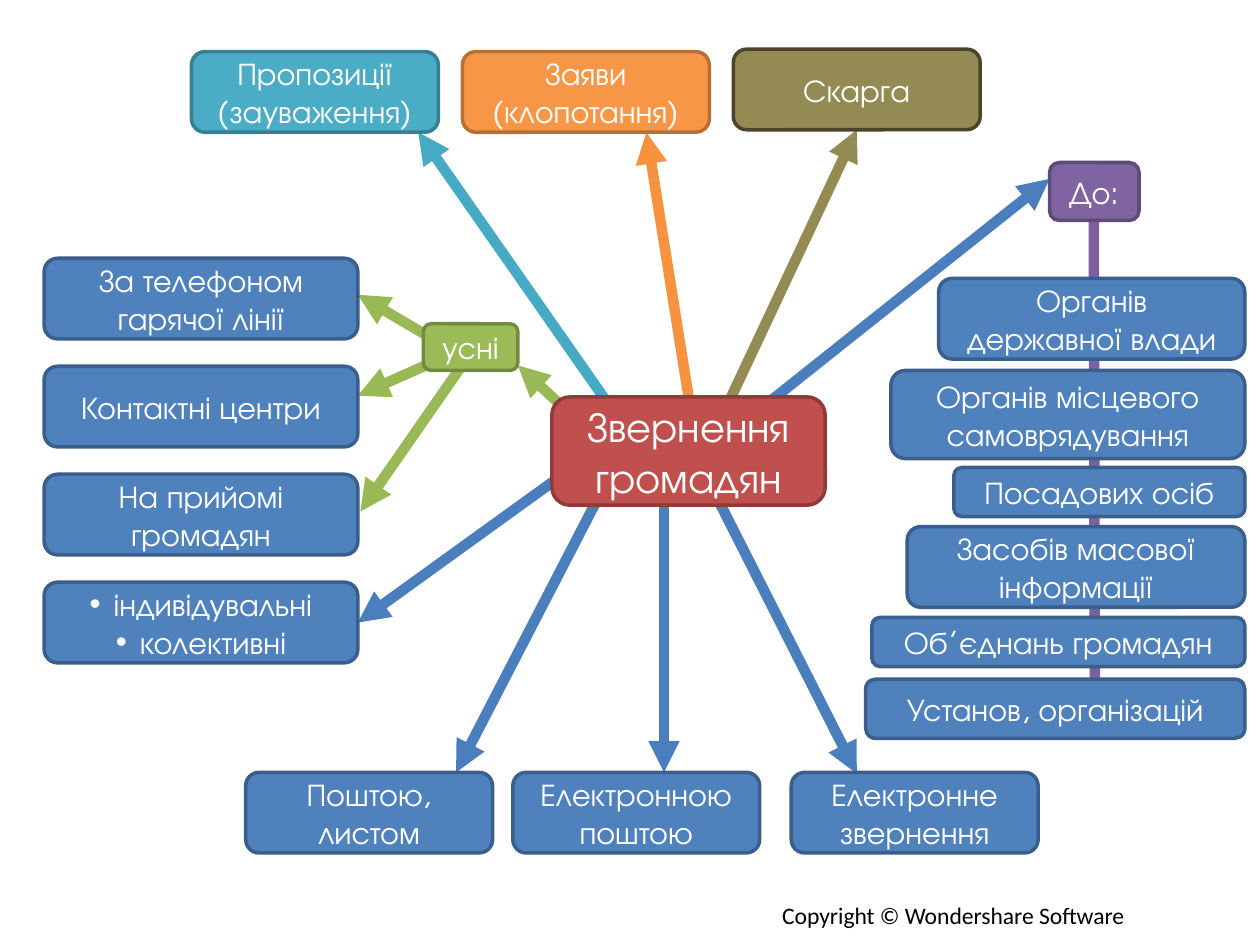
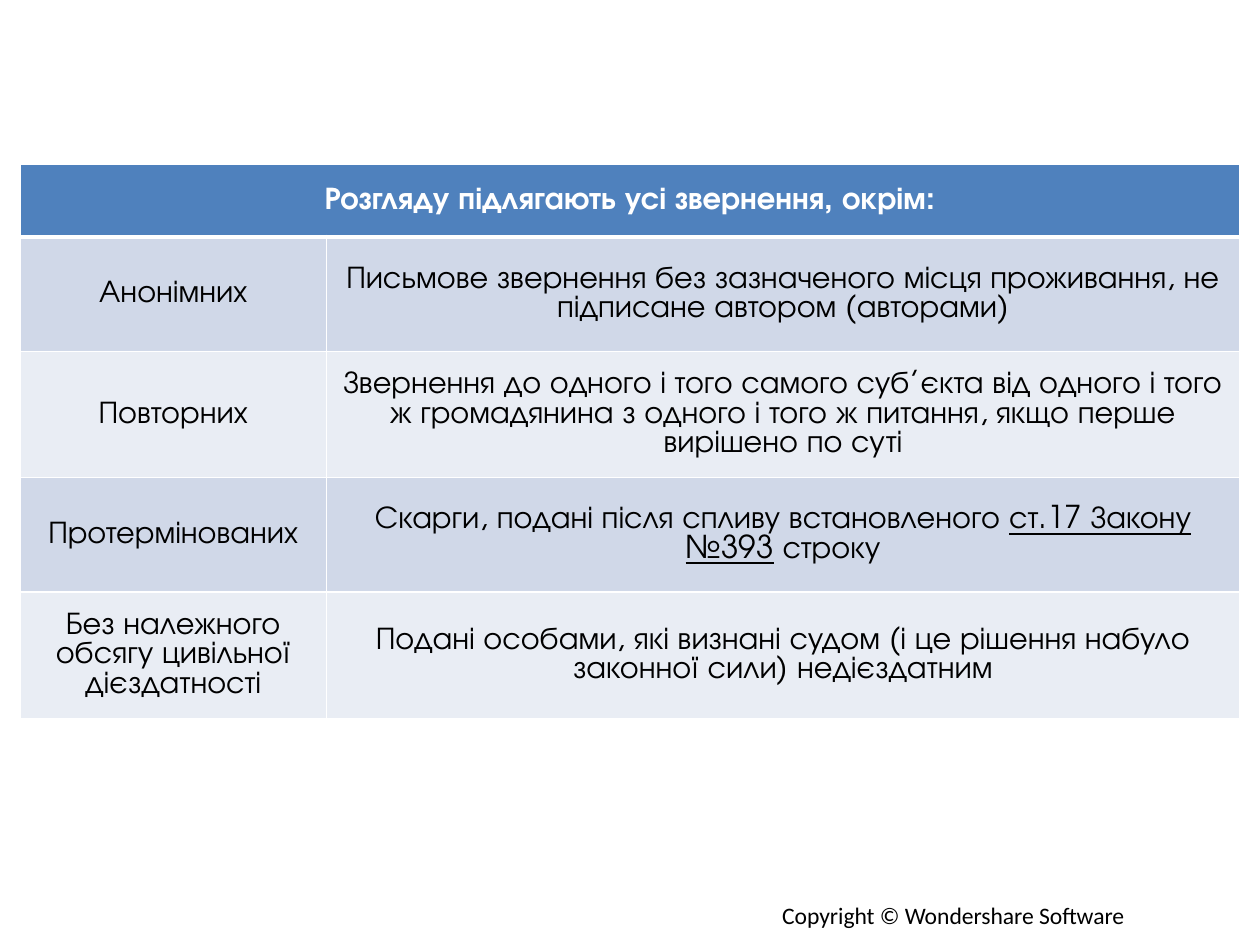
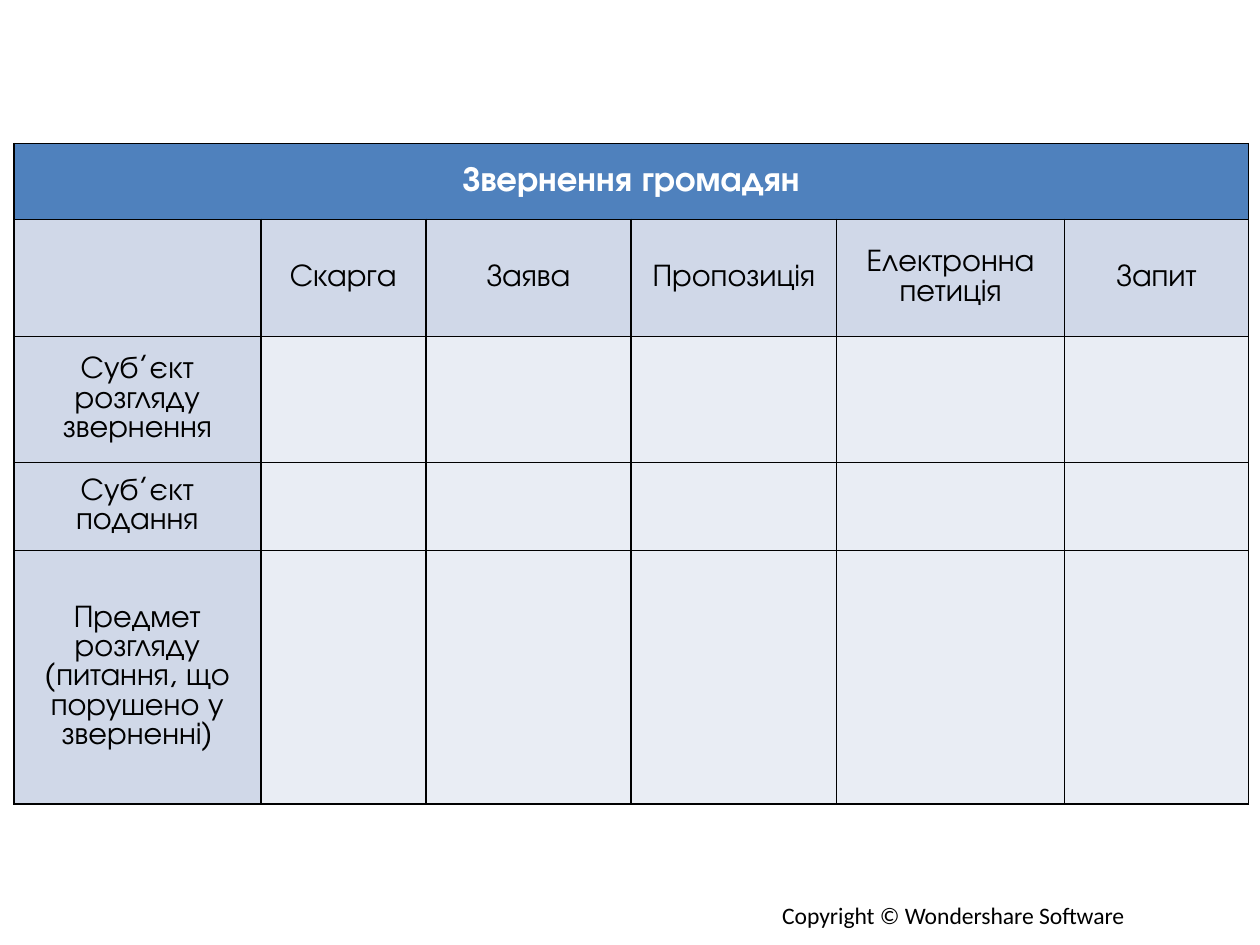
import pptx
import pptx.util
import pptx.dml.color
import pptx.enum.shapes
import pptx.enum.text
import pptx.oxml.ns
from lxml import etree

RGB = pptx.dml.color.RGBColor
WHITE, BLACK = RGB(0xFF, 0xFF, 0xFF), RGB(0, 0, 0)
BLUE, BLUE_EDGE = RGB(0x4F, 0x81, 0xBD), RGB(0x3A, 0x5F, 0x8C)
RED, RED_EDGE = RGB(0xC0, 0x50, 0x4D), RGB(0x8E, 0x3B, 0x39)
GREEN, GREEN_EDGE = RGB(0x9B, 0xBB, 0x59), RGB(0x73, 0x8A, 0x42)
TEAL, TEAL_EDGE = RGB(0x4B, 0xAC, 0xC6), RGB(0x37, 0x7F, 0x92)
ORANGE, ORANGE_EDGE = RGB(0xF7, 0x96, 0x46), RGB(0xB7, 0x6F, 0x34)
OLIVE, OLIVE_EDGE = RGB(0x94, 0x8A, 0x54), RGB(0x4A, 0x45, 0x2A)
PURPLE, PURPLE_EDGE = RGB(0x80, 0x64, 0xA2), RGB(0x5F, 0x4A, 0x78)
BLUE_ARROW, TEAL_ARROW = RGB(0x4B, 0x7E, 0xBC), RGB(0x46, 0xAA, 0xC5)
GREEN_ARROW, ORANGE_ARROW = RGB(0x98, 0xB9, 0x55), RGB(0xF6, 0x92, 0x40)
PURPLE_ARROW = RGB(0x7D, 0x60, 0xA0)
BAND_DARK, BAND_LIGHT = RGB(0xD0, 0xD8, 0xE8), RGB(0xE9, 0xED, 0xF4)
FONT, FOOTER_FONT = "TeX Gyre Adventor", "Calibri"
COPYRIGHT = "Copyright © Wondershare Software"

qn = pptx.oxml.ns.qn
Pt = pptx.util.Pt
CENTER = pptx.enum.text.PP_ALIGN.CENTER
MIDDLE = pptx.enum.text.MSO_ANCHOR.MIDDLE

prs = pptx.Presentation()
prs.slide_width, prs.slide_height = pptx.util.Inches(10), pptx.util.Inches(7.5)
UNIT = prs.slide_width / 100  # the slide is 100 columns by 75 rows


def grid(*lengths):
    """Turn grid columns or rows into slide lengths."""
    return [pptx.util.Emu(round(n * UNIT)) for n in lengths]


def add_run(p, text, size, color, font=FONT):
    r = p.add_run()
    r.text = text
    r.font.size, r.font.name = Pt(size), font
    r.font.color.rgb = color
    return r


slides = [prs.slides.add_slide(prs.slide_layouts[6]) for _ in range(3)]
for s in slides:
    tf = s.shapes.add_textbox(*grid(61.1, 71, 29.7, 3.3)).text_frame
    tf.word_wrap = False
    tf.auto_size = pptx.enum.text.MSO_AUTO_SIZE.SHAPE_TO_FIT_TEXT
    add_run(tf.paragraphs[0], COPYRIGHT, 13.5, BLACK, FOOTER_FONT)

# Slide 1: map of appeals
s = slides[0]
boxes = [("Звернення громадян", 43.8, 31.5, 21.7, 8.6, RED, RED_EDGE)]
for i, text in enumerate(["За телефоном гарячої лінії", "Контактні центри",
                          "На прийомі громадян", "індивідувальні\nколективні"]):
    boxes.append((text, 3.5, 20.5 + 8.57 * i, 24.9, 6.4, BLUE, BLUE_EDGE))
boxes.append(("усні", 33.6, 25.7, 7.5, 3.7, GREEN, GREEN_EDGE))
for i, (text, top, fill, edge) in enumerate([
        ("Пропозиції (зауваження)", 4.1, TEAL, TEAL_EDGE),
        ("Заяви (клопотання)", 4.1, ORANGE, ORANGE_EDGE),
        ("Скарга", 3.9, OLIVE, OLIVE_EDGE)]):
    boxes.append((text, 15.2 + 21.5 * i, top, 19.6, 6.4, fill, edge))
for text, left in [("Поштою, листом", 19.5), ("Електронною поштою", 40.7),
                   ("Електронне звернення", 62.8)]:
    boxes.append((text, left, 61.3, 19.6, 6.4, BLUE, BLUE_EDGE))
for text, top, width, height in [
        ("Органів державної влади", 22.1, 24.3, 6.4),
        ("Органів місцевого самоврядування", 29.4, 28.1, 7),
        ("Посадових осіб", 37.1, 23.1, 3.9),
        ("Засобів масової інформації", 41.8, 26.8, 6.4),
        ("Об’єднань громадян", 49, 29.6, 3.9),
        ("Установ, організацій", 53.9, 30.1, 4.7)]:
    boxes.append((text, 98.8 - width, top, width, height, BLUE, BLUE_EDGE))
boxes.append(("До:", 83.3, 12.9, 7.1, 4.6, PURPLE, PURPLE_EDGE))

shapes = {}
for text, left, top, width, height, fill, edge in boxes:
    sp = s.shapes.add_shape(pptx.enum.shapes.MSO_SHAPE.ROUNDED_RECTANGLE,
                            *grid(left, top, width, height))
    sp.shadow.inherit = False
    sp.fill.solid()
    sp.fill.fore_color.rgb = fill
    sp.line.color.rgb, sp.line.width = edge, Pt(2)
    tf = sp.text_frame
    tf.word_wrap, tf.vertical_anchor = True, MIDDLE
    lines = text.split("\n")
    for i, line in enumerate(lines):
        p = tf.add_paragraph() if i else tf.paragraphs[0]
        p.alignment = CENTER
        if len(lines) > 1:
            pPr = p._p.get_or_add_pPr()
            pPr.set("marL", str(grid(1.9)[0]))
            pPr.set("indent", str(grid(-1.9)[0]))
            etree.SubElement(pPr, qn("a:buFont"), typeface="Arial")
            etree.SubElement(pPr, qn("a:buChar"), char="•")
        add_run(p, line, 24 if fill == RED else 18, WHITE)
    shapes[text] = sp

center = shapes["Звернення громадян"]
kinds = shapes["індивідувальні\nколективні"]
complaint = shapes["Скарга"]
arrows = [  # start, end, colour, joined start, joined end
    ((86.9, 56.2), (86.8, 13.5), PURPLE_ARROW, None, None),
    ((60.3, 32.5), (83.3, 14.2), BLUE_ARROW, None, None),
    ((49, 33.1), (33.2, 10.5), TEAL_ARROW, None, None),
    ((44.9, 37.5), (28.4, 49.4), BLUE_ARROW, None, (kinds, 3)),
    ((57.8, 32), (68, 10.3), OLIVE, None, (complaint, 2)),
    ((54.7, 31.5), (51.3, 10.5), ORANGE_ARROW, (center, 0), None),
    ((48.1, 38.3), (36.2, 61.3), BLUE_ARROW, None, None),
    ((52.7, 38.2), (52.7, 61.3), BLUE_ARROW, None, None),
    ((56.3, 38.3), (68, 61.4), BLUE_ARROW, None, None),
    ((44.9, 32.5), (41.1, 29), GREEN_ARROW, None, None),
    ((34.7, 27.1), (28.4, 23.4), GREEN_ARROW, None, None),
    ((34.7, 28.6), (28.4, 31.4), GREEN_ARROW, None, None),
    ((37.5, 27.8), (28.6, 40.6), GREEN_ARROW, None, None),
]
for start, end, color, begin_at, end_at in arrows:
    cx = s.shapes.add_connector(pptx.enum.shapes.MSO_CONNECTOR.STRAIGHT,
                                *grid(*start, *end))
    if begin_at:
        cx.begin_connect(*begin_at)
    if end_at:
        cx.end_connect(*end_at)
    cx.line.color.rgb, cx.line.width = color, Pt(6)
    spPr = cx.element.spPr
    etree.SubElement(spPr.find(qn("a:ln")), qn("a:tailEnd"), type="triangle")
    etree.SubElement(spPr, qn("a:effectLst"))
    center.element.addprevious(cx.element)  # arrows lie behind the boxes

# Slides 2 and 3: tables; text between bars is underlined
exceptions = [
    ["Розгляду підлягають усі звернення, окрім:", ""],
    ["Анонімних", "Письмове звернення без зазначеного місця проживання, "
     "не підписане автором (авторами)"],
    ["Повторних", "Звернення до одного і того самого суб’єкта від одного і того ж "
     "громадянина з одного і того ж питання, якщо перше вирішено по суті"],
    ["Протермінованих",
     "Скарги, подані після спливу встановленого |ст.17 Закону №393| строку"],
    ["Без належного обсягу цивільної дієздатності",
     "Подані особами, які визнані судом (і це рішення набуло законної сили) "
     "недієздатним"],
]
comparison = [
    ["Звернення громадян"] + [""] * 5,
    ["", "Скарга", "Заява", "Пропозиція", "Електронна петиція", "Запит"],
    ["Суб’єкт розгляду звернення"] + [""] * 5,
    ["Суб’єкт подання"] + [""] * 5,
    ["Предмет розгляду (питання, що порушено у зверненні)"] + [""] * 5,
]
tables = [
    (slides[1], exceptions, 1.6, 13, [24.3, 72.5], [5.8, 9.1, 10, 9.1, 10],
     WHITE, 18),
    (slides[2], comparison, 1.1, 11.4, [19.6, 13.1, 16.3, 16.3, 18.1, 14.6],
     [6, 9.3, 10, 7, 20.1], BLACK, 20),
]
for s, texts, left, top, widths, heights, border, title_size in tables:
    table = s.shapes.add_table(len(heights), len(widths),
                               *grid(left, top, sum(widths), sum(heights))).table
    table.first_row = table.horz_banding = False
    for column, width in zip(table.columns, grid(*widths)):
        column.width = width
    for row, height in zip(table.rows, grid(*heights)):
        row.height = height
    table.cell(0, 0).merge(table.cell(0, len(widths) - 1))
    for i, row_texts in enumerate(texts):
        for j, text in enumerate(row_texts):
            cell = table.cell(i, j)
            cell.vertical_anchor = MIDDLE
            for side in "LRTB":
                thick = border == WHITE and (i, side) in [(0, "B"), (1, "T")]
                ln = etree.SubElement(cell._tc.get_or_add_tcPr(), qn("a:ln" + side),
                                      w=str(Pt(3 if thick else 1)))
                solid = etree.SubElement(ln, qn("a:solidFill"))
                etree.SubElement(solid, qn("a:srgbClr"), val=str(border))
            if border == WHITE:
                band = BAND_DARK if i % 2 else BAND_LIGHT
            else:
                band = BAND_DARK if i == 1 or j == 0 else BAND_LIGHT
            cell.fill.solid()
            cell.fill.fore_color.rgb = band if i else BLUE
            if not text:
                continue
            p = cell.text_frame.paragraphs[0]
            p.alignment = CENTER
            for k, part in enumerate(text.split("|")):
                r = add_run(p, part, 18 if i else title_size, BLACK if i else WHITE)
                r.font.bold = i == 0
                r.font.underline = k % 2 == 1

prs.save("out.pptx")
